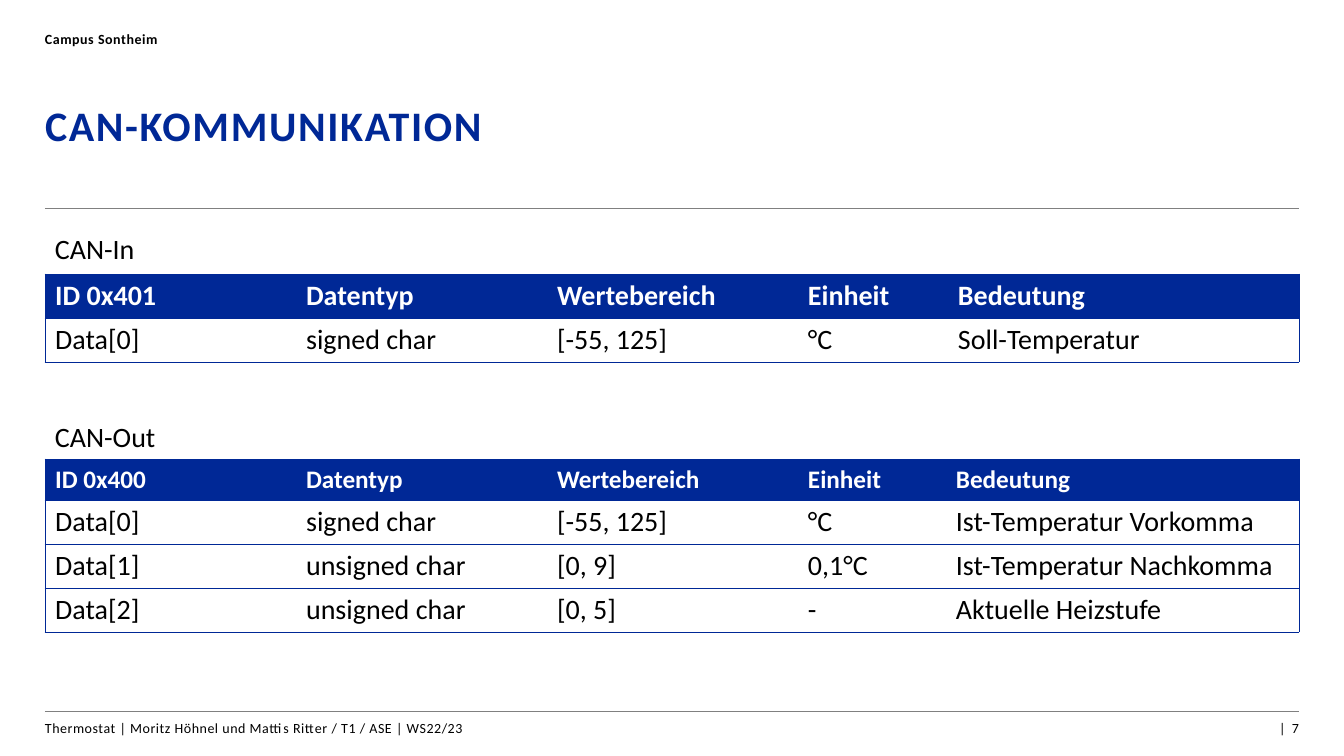
from pptx import Presentation
from pptx.dml.color import RGBColor
from pptx.enum.shapes import MSO_CONNECTOR
from pptx.enum.text import MSO_AUTO_SIZE, PP_ALIGN
from pptx.oxml.ns import qn
from pptx.util import Pt
from lxml.etree import SubElement

# Content
CAMPUS = "Campus Sontheim"
TITLE = "CAN-KOMMUNIKATION"
FOOTER = "Thermostat | Moritz Höhnel und Mattis Ritter / T1 / ASE | WS22/23"
PAGE = "|  7"
COLUMNS = ["Datentyp", "Wertebereich", "Einheit", "Bedeutung"]
MESSAGES = [
    {
        "label": "CAN-In", "label_top": 227, "top": 274,
        "header_size": 20, "header_height": 44,
        "widths": [251, 251, 251, 150, 351],
        "rows": [
            ["ID 0x401", *COLUMNS],
            ["Data[0]", "signed char", "[-55, 125]", "°C", "Soll-Temperatur"],
        ],
    },
    {
        "label": "CAN-Out", "label_top": 415, "top": 459,
        "header_size": 18, "header_height": 41,
        "widths": [251, 251, 251, 148, 353],
        "rows": [
            ["ID 0x400", *COLUMNS],
            ["Data[0]", "signed char", "[-55, 125]", "°C", "Ist-Temperatur Vorkomma"],
            ["Data[1]", "unsigned char", "[0, 9]", "0,1°C", "Ist-Temperatur Nachkomma"],
            ["Data[2]", "unsigned char", "[0, 5]", "-", "Aktuelle Heizstufe"],
        ],
    },
]

# Layout in px
SLIDE_W, SLIDE_H = 1344, 756
LEFT, RIGHT = 45, 1299
WIDTH = RIGHT - LEFT
RULES = [711, 208]
ROW_H = 44
SCALE = 12192000 / SLIDE_W

FONT = "Calibri"
BLUE = RGBColor(0x00, 0x28, 0x96)
BLACK = RGBColor(0x00, 0x00, 0x00)
WHITE = RGBColor(0xFF, 0xFF, 0xFF)
GRAY = RGBColor(0x80, 0x80, 0x80)


def px(length):
    return round(length * SCALE)


def style(paragraph, size, color, bold=False):
    for run in paragraph.runs:
        font = run.font
        font.name, font.size, font.bold = FONT, Pt(size), bold
        font.color.rgb = color


def add_text(slide, text, left, top, width, height, size, color=BLACK,
             bold=False, spacing=0, inset=False):
    box = slide.shapes.add_textbox(px(left), px(top), px(width), px(height))
    frame = box.text_frame
    frame.word_wrap = True
    if not inset:
        frame.margin_left = frame.margin_right = 0
        frame.margin_top = frame.margin_bottom = 0
    frame.text = text
    style(frame.paragraphs[0], size, color, bold)
    if spacing:
        for props in box.element.iter(qn("a:rPr")):
            props.set("spc", str(spacing))
    return frame


def add_rule(slide, y):
    rule = slide.shapes.add_connector(
        MSO_CONNECTOR.STRAIGHT, px(LEFT), px(y), px(RIGHT), px(y))
    rule.line.color.rgb = GRAY
    rule.line.width = Pt(0.5)
    SubElement(rule.element.spPr, qn("a:effectLst"))


def set_borders(cell, sides):
    props = cell._tc.get_or_add_tcPr()
    for side in "LRTB":
        line = SubElement(props, qn(f"a:ln{side}"), w=str(Pt(0.5)))
        if side in sides:
            fill = SubElement(line, qn("a:solidFill"))
            SubElement(fill, qn("a:srgbClr"), val=str(BLUE))
        else:
            SubElement(line, qn("a:noFill"))


def add_message(slide, message):
    rows, widths = message["rows"], message["widths"]
    heights = [message["header_height"]] + [ROW_H] * (len(rows) - 1)
    table = slide.shapes.add_table(
        len(rows), len(widths), px(LEFT), px(message["top"]),
        px(WIDTH), px(sum(heights))).table
    table.horz_banding = False
    for column, width in zip(table.columns, widths):
        column.width = px(width)
    for r, (values, height) in enumerate(zip(rows, heights)):
        table.rows[r].height = px(height)
        header = r == 0
        for c, value in enumerate(values):
            cell = table.cell(r, c)
            # Horizontal lines everywhere, vertical ones only at the outside
            outer = {0: "L", len(values) - 1: "R"}.get(c, "")
            set_borders(cell, "TB" + outer)
            cell.fill.solid()
            cell.fill.fore_color.rgb = BLUE if header else WHITE
            cell.text_frame.text = value
            style(cell.text_frame.paragraphs[0],
                  message["header_size"] if header else 20,
                  WHITE if header else BLACK, header)
    label = add_text(slide, message["label"], LEFT, message["label_top"],
                     497, 44, 20, inset=True)
    label.auto_size = MSO_AUTO_SIZE.SHAPE_TO_FIT_TEXT


def main():
    deck = Presentation()
    deck.slide_width, deck.slide_height = px(SLIDE_W), px(SLIDE_H)
    slide = deck.slides.add_slide(deck.slide_layouts[6])

    # Frame: rules, header, footer and page number
    for y in RULES:
        add_rule(slide, y)
    add_text(slide, CAMPUS, LEFT, 30, 813, 24, 10, bold=True, spacing=40)
    add_text(slide, FOOTER, LEFT, 719, 813, 24, 10, spacing=40)
    page = add_text(slide, PAGE, RIGHT - 210, 719, 210, 24, 10)
    page.paragraphs[0].alignment = PP_ALIGN.RIGHT

    # Title
    title = add_text(slide, TITLE, LEFT, 104, WIDTH, 95, 30, BLUE, True, 120)
    title.paragraphs[0].line_spacing = 0.94

    # CAN messages
    for message in MESSAGES:
        add_message(slide, message)

    deck.save("out.pptx")


if __name__ == "__main__":
    main()
